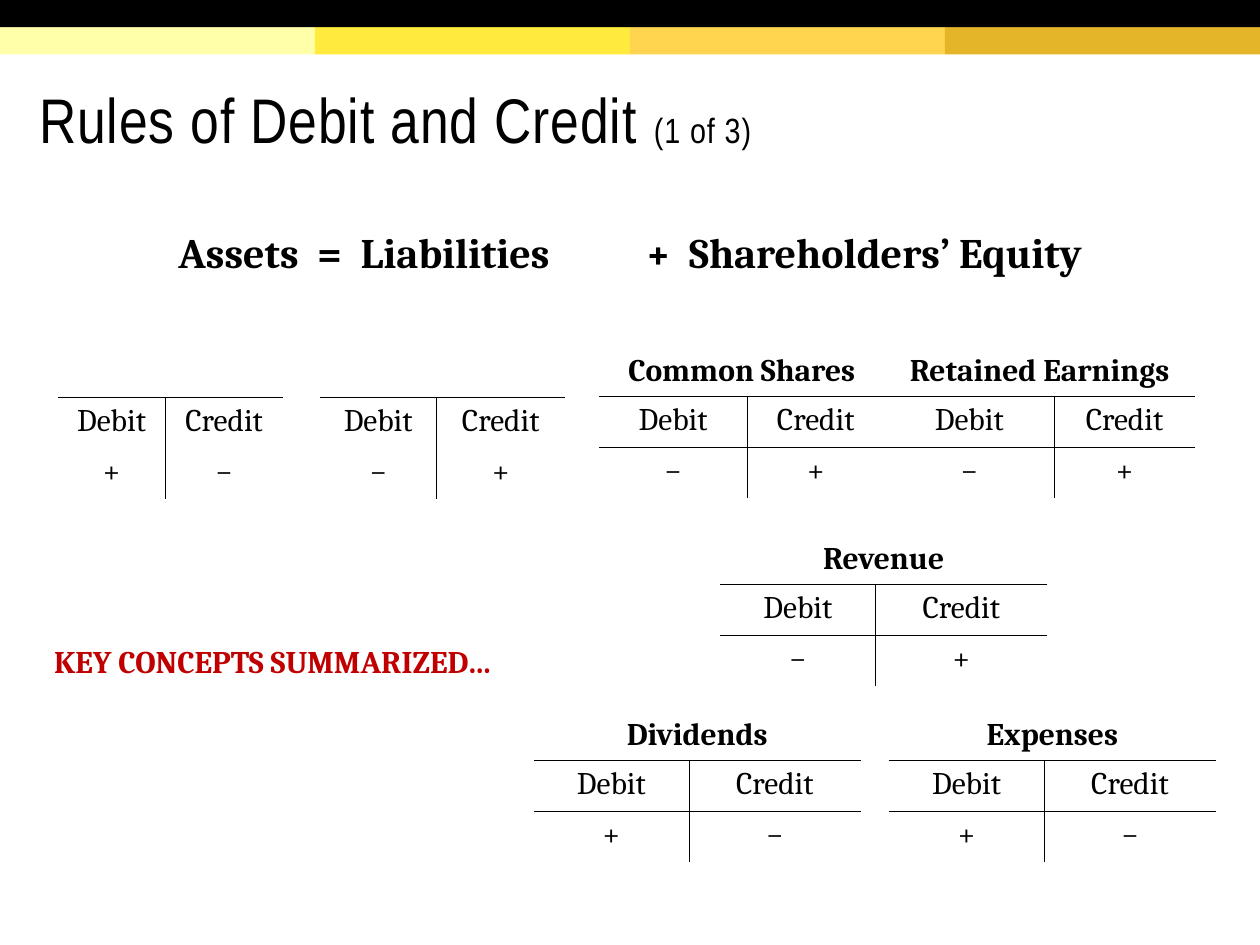
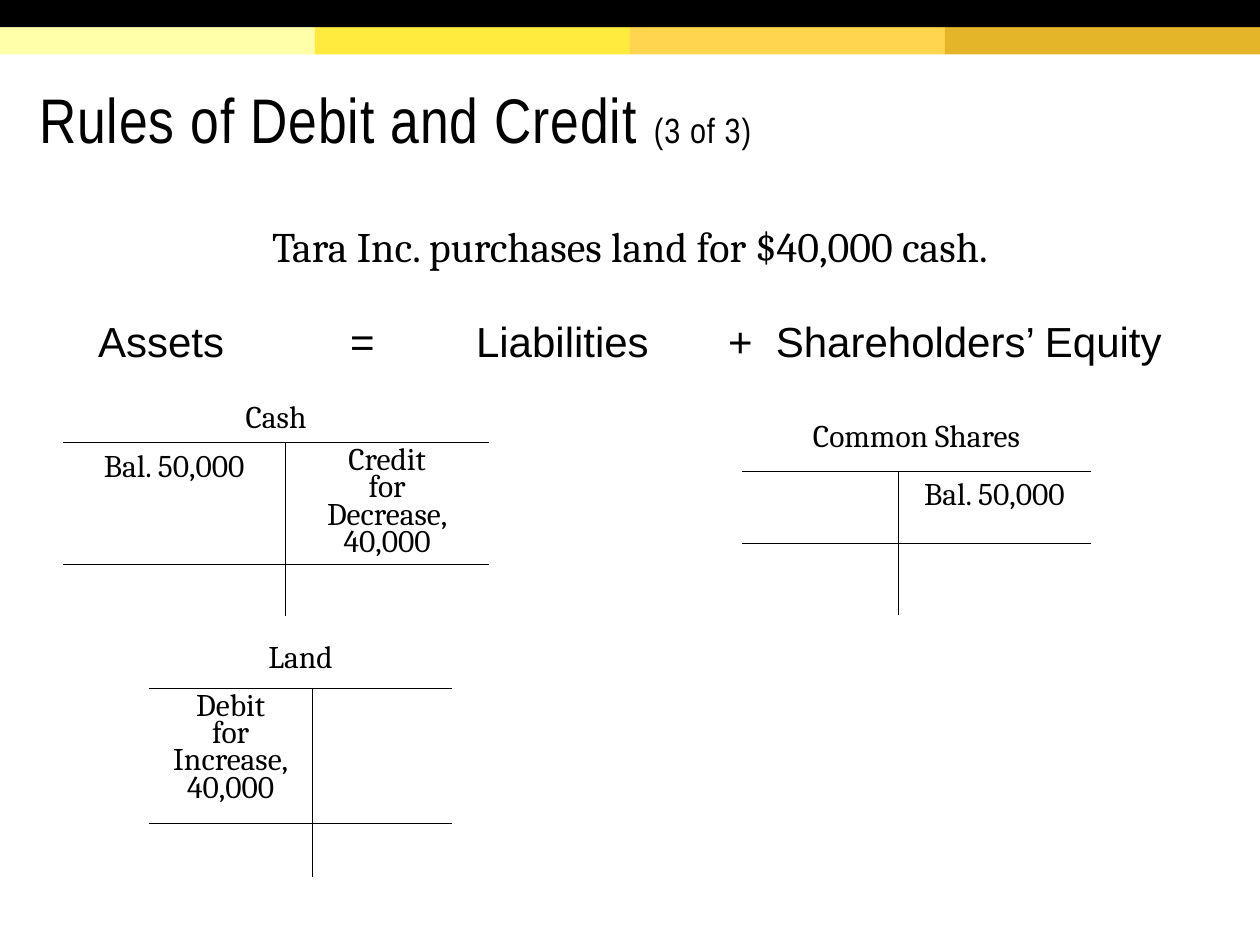
import pptx
import pptx.util
import pptx.dml.color
import pptx.enum.shapes
import pptx.enum.text
import pptx.oxml.ns
import lxml.etree

Cm = pptx.util.Cm
Pt = pptx.util.Pt
qn = pptx.oxml.ns.qn
ALIGN = pptx.enum.text.PP_ALIGN
ANCHOR = pptx.enum.text.MSO_ANCHOR

COLORS = {
    "black": "000000",
    "cream": "FFFFAA",
    "lemon": "FFEA3D",
    "amber": "FFD54F",
    "gold": "E4B429",
    "red": "C00000",
}
NO_GRID_STYLE = "{2D5ABB26-0587-4C30-8999-92F81FD0307C}"


def write(para, text, size=18, font="Cambria", color="black", bold=False,
          align=ALIGN.CENTER, line=1.0, before=0, after=0, spacing=None):
    para.alignment = align
    para.line_spacing = line
    para.space_before = Pt(before)
    para.space_after = Pt(after)
    span = para.add_run()
    span.text = text
    span.font.size = Pt(size)
    span.font.name = font
    span.font.bold = bold
    span.font.color.rgb = pptx.dml.color.RGBColor.from_string(COLORS[color])
    if spacing:
        span.font._element.set("spc", str(spacing))


def add_account(page, left, top, columns, rows, cells, heading=None, bold=False):
    count = len(rows)
    frame = page.shapes.add_table(count, 2, Cm(left), Cm(top), Cm(sum(columns)), Cm(sum(rows)))
    table = frame.table
    table.first_row = table.horz_banding = False
    table._tbl.tblPr.find(qn("a:tableStyleId")).text = NO_GRID_STYLE
    for index, width in enumerate(columns):
        table.columns[index].width = Cm(width)
    for index, height in enumerate(rows):
        table.rows[index].height = Cm(height)

    first = 1 if heading else 0
    if heading:
        table.cell(0, 0).merge(table.cell(0, 1))
        write(table.cell(0, 0).text_frame.paragraphs[0], heading, bold=bold)
    for row in range(count):
        for column in range(2):
            cell = table.cell(row, column)
            sides = []
            if row >= first:
                sides.append("L" if column else "R")
                if row == first or heading:
                    sides.append("T")
            if heading and row < count - 1:
                sides.append("B")
            for side in sides:
                border = lxml.etree.SubElement(cell._tc.get_or_add_tcPr(), qn("a:ln" + side), w="3175")
                fill = lxml.etree.SubElement(border, qn("a:solidFill"))
                lxml.etree.SubElement(fill, qn("a:srgbClr"), val=COLORS["black"])
            cell.fill.background()
            if row >= first and cells[row - first][column]:
                lines = cells[row - first][column].split("\n")
                for index, text in enumerate(lines):
                    box = cell.text_frame
                    para = box.add_paragraph() if index else box.paragraphs[0]
                    write(para, text, line=0.75 if len(lines) > 1 else 1.0)


deck = pptx.Presentation()
deck.slide_width = Cm(25.4)
deck.slide_height = Cm(19.05)

bands = [(6.35 * index, 0.55, 6.35, color)
         for index, color in enumerate(("cream", "lemon", "amber", "gold"))]
bands.append((0, 0, 25.4, "black"))

EQUATION = "Assets  =  Liabilities\t+  Shareholders’ Equity"
WIDE_EQUATION = "Assets \t=\tLiabilities\t+  Shareholders’ Equity"
STATEMENT = "Tara Inc. purchases land for $40,000 cash."
contents = [
    ("(1 of 3)", 1.27, 9.42, [(EQUATION, {"bold": True, "after": 8})]),
    ("(3 of 3)", 3.15, 2.54, [
        (STATEMENT, {"line": 0.9, "after": 18}),
        (WIDE_EQUATION, {"font": "Arial", "line": 0.9, "before": 10, "after": 8}),
    ]),
]
pages = []
for part, body_height, tab_size, lines in contents:
    page = deck.slides.add_slide(deck.slide_layouts[1])
    pages.append(page)

    for left, top, width, color in bands:
        band = page.shapes.add_shape(pptx.enum.shapes.MSO_SHAPE.RECTANGLE,
                                     Cm(left), Cm(top), Cm(width), Cm(0.55))
        band.shadow.inherit = False
        band.fill.solid()
        band.fill.fore_color.rgb = pptx.dml.color.RGBColor.from_string(COLORS[color])
        band.line.fill.background()

    title = page.shapes.title
    title.left, title.top, title.width, title.height = Cm(0.54), Cm(1.19), Cm(24.1), Cm(2.49)
    box = title.text_frame
    box.auto_size = pptx.enum.text.MSO_AUTO_SIZE.NONE
    box.vertical_anchor = ANCHOR.MIDDLE
    box.margin_left = box.margin_right = box.margin_top = Cm(0.25)
    box.margin_bottom = Cm(0.13)
    for text, size in (("Rules of Debit and Credit ", 36), (part, 20)):
        write(box.paragraphs[0], text, size=size, font="Arial Narrow",
              align=ALIGN.LEFT, line=0.85, spacing=50)

    body = page.placeholders[1]
    body.left, body.top, body.width, body.height = Cm(1.27), Cm(4.44), Cm(22.86), Cm(body_height)
    box = body.text_frame
    box.auto_size = pptx.enum.text.MSO_AUTO_SIZE.NONE
    for index, (text, style) in enumerate(lines):
        para = box.add_paragraph() if index else box.paragraphs[0]
        properties = para._p.get_or_add_pPr()
        properties.set("marL", "0")
        properties.set("indent", "0")
        properties.set("defTabSz", str(int(Cm(tab_size))))
        lxml.etree.SubElement(properties, qn("a:buNone"))
        write(para, text, size=24, **style)

rules_page, land_page = pages

INCREASE_LEFT = ("+", "−")
INCREASE_RIGHT = ("−", "+")
accounts = [
    (None, 1.17, 8.0, (2.16, 2.38), INCREASE_LEFT),
    (None, 6.45, 8.0, (2.35, 2.59), INCREASE_RIGHT),
    ("Common Shares", 12.08, 6.99, (2.98, 2.77), INCREASE_RIGHT),
    ("Retained Earnings", 17.83, 6.99, (3.42, 2.84), INCREASE_RIGHT),
    ("Revenue", 14.52, 10.78, (3.13, 3.46), INCREASE_RIGHT),
    ("Dividends", 10.76, 14.33, (3.13, 3.46), INCREASE_LEFT),
    ("Expenses", 17.92, 14.33, (3.13, 3.46), INCREASE_LEFT),
]
for heading, left, top, columns, signs in accounts:
    rows = (0.99, 1.03, 1.03) if heading else (1.03, 1.03)
    add_account(rules_page, left, top, columns, rows,
                (("Debit", "Credit"), signs), heading, bold=True)

summary = rules_page.shapes.add_textbox(Cm(0.84), Cm(12.82), Cm(12.17), Cm(1.02))
summary.text_frame.word_wrap = True
write(summary.text_frame.paragraphs[0], "KEY CONCEPTS SUMMARIZED…",
      color="red", bold=True, align=ALIGN.LEFT)

EMPTY = ("", "")
ledger = [
    ("Cash", 1.27, 7.93, (4.48, 4.11), (0.99, 2.46, 0.97),
     ("Bal. 50,000", "Credit\nfor\nDecrease,\n40,000")),
    ("Land", 3.0, 12.78, (3.3, 2.82), (1.09, 2.72, 1.09),
     ("Debit\nfor\nIncrease,\n40,000", "")),
    ("Common Shares", 14.96, 8.32, (3.14, 3.89), (1.18, 1.45, 1.45),
     ("", "Bal. 50,000")),
]
for heading, left, top, columns, rows, entries in ledger:
    add_account(land_page, left, top, columns, rows, (entries, EMPTY), heading)

deck.save("out.pptx")
